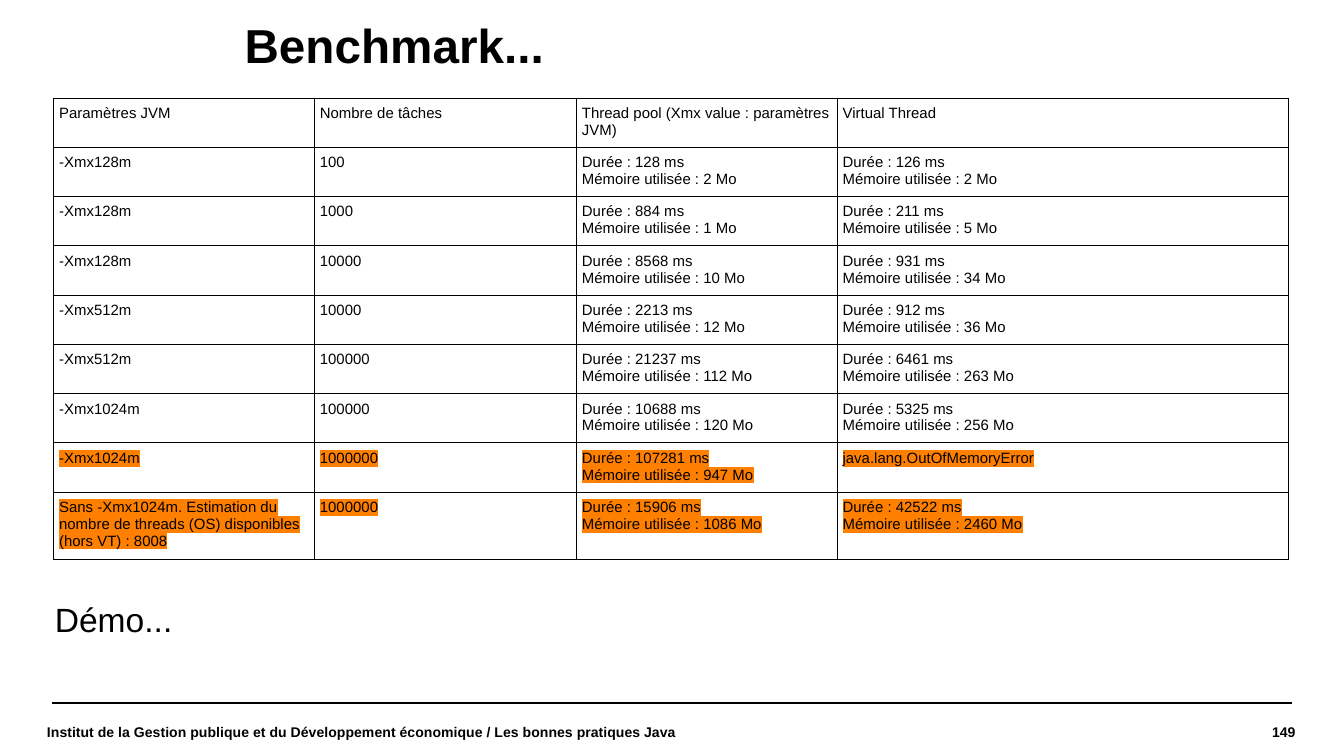
import pptx
import pptx.dml.color
import pptx.enum.shapes
import pptx.enum.text
import pptx.oxml
import pptx.oxml.ns
import pptx.util
from dataclasses import dataclass

Inches = pptx.util.Inches
Pt = pptx.util.Pt
Align = pptx.enum.text.PP_ALIGN
Anchor = pptx.enum.text.MSO_ANCHOR


@dataclass(frozen=True)
class Theme:
    font: str = "Arial"
    ink: str = "000000"
    paper: str = "FFFFFF"
    mark: str = "FF8000"
    title: float = 25.5
    body: float = 18
    cell: float = 8
    foot: float = 7.5
    rule: float = 0.8
    grid: float = 0.57


THEME = Theme()
HEADS = ["Paramètres JVM", "Nombre de tâches",
         "Thread pool (Xmx value : paramètres JVM)", "Virtual Thread"]
# JVM setting, task count, then (ms, Mo) for the pool and for virtual threads
RUNS = [
    ("-Xmx128m", 100, (128, 2), (126, 2)),
    ("-Xmx128m", 1000, (884, 1), (211, 5)),
    ("-Xmx128m", 10000, (8568, 10), (931, 34)),
    ("-Xmx512m", 10000, (2213, 12), (912, 36)),
    ("-Xmx512m", 100000, (21237, 112), (6461, 263)),
    ("-Xmx1024m", 100000, (10688, 120), (5325, 256)),
    ("-Xmx1024m", 1000000, (107281, 947), "java.lang.OutOfMemoryError"),
    ("Sans -Xmx1024m. Estimation du nombre de threads (OS) disponibles (hors VT) : 8008",
     1000000, (15906, 1086), (42522, 2460)),
]
MARKED = 1000000  # task count of the highlighted rows
WIDTHS = [1.94, 1.95, 1.94, 3.36]
HEIGHTS = [0.2] + [0.36] * len(RUNS)  # rows grow to fit their text


def color(code):
    return pptx.dml.color.RGBColor.from_string(code)


def element(tag, inner):
    space = pptx.oxml.ns.nsdecls("a")
    return pptx.oxml.parse_xml(f"<a:{tag} {space}>{inner}</a:{tag}>")


def add_run(para, text, size, bold=False, mark=None):
    run = para.add_run()
    run.text = text
    font = run.font
    font.name, font.size, font.bold = THEME.font, Pt(size), bold
    font.color.rgb = color(THEME.ink)
    if mark:
        fill = run._r.get_or_add_rPr().find(pptx.oxml.ns.qn("a:solidFill"))
        fill.addnext(element("highlight", f'<a:srgbClr val="{mark}"/>'))


def add_label(slide, box, text, size, bold=False, align=Align.LEFT,
              anchor=Anchor.TOP, inset=(0, 0), space=None):
    frame = slide.shapes.add_textbox(*map(Inches, box)).text_frame
    frame.word_wrap = True
    frame.vertical_anchor = anchor
    frame.margin_left = frame.margin_right = Inches(inset[0])
    frame.margin_top = frame.margin_bottom = Inches(inset[1])
    para = frame.paragraphs[0]
    para.alignment = align
    para.line_spacing = space
    add_run(para, text, size, bold)


def add_rule(slide, left, right, top):
    rule = slide.shapes.add_connector(
        pptx.enum.shapes.MSO_CONNECTOR.STRAIGHT,
        Inches(left), Inches(top), Inches(right), Inches(top))
    rule.line.color.rgb = color(THEME.ink)
    rule.line.width = Pt(THEME.rule)
    rule._element.spPr.append(element("effectLst", ""))


def add_edges(cell):
    props = cell._tc.get_or_add_tcPr()
    paint = f'<a:solidFill><a:srgbClr val="{THEME.ink}"/></a:solidFill>'
    for place, tag in enumerate(("lnL", "lnR", "lnT", "lnB")):
        edge = element(tag, paint)
        edge.set("w", str(int(Pt(THEME.grid))))
        props.insert(place, edge)


def fill_cell(cell, value, mark):
    cell.fill.solid()
    cell.fill.fore_color.rgb = color(THEME.paper)
    cell.margin_left = cell.margin_right = Inches(0.04)
    cell.margin_top = cell.margin_bottom = Inches(0.05)
    add_edges(cell)
    if isinstance(value, tuple):
        time, size = value
        lines = [f"Durée : {time} ms", f"Mémoire utilisée : {size} Mo"]
    else:
        lines = [str(value)]
    frame = cell.text_frame
    for i, line in enumerate(lines):
        para = frame.add_paragraph() if i else frame.paragraphs[0]
        add_run(para, line, THEME.cell, mark=mark)


def add_grid(slide, left, top, height):
    rows = [HEADS] + RUNS
    holder = slide.shapes.add_table(
        len(rows), len(HEADS), Inches(left), Inches(top),
        Inches(sum(WIDTHS)), Inches(height))
    table = holder.table
    table.first_row = table.horz_banding = False
    for col, width in zip(table.columns, WIDTHS):
        col.width = Inches(width)
    for r, (values, tall) in enumerate(zip(rows, HEIGHTS)):
        table.rows[r].height = Inches(tall)
        mark = THEME.mark if values[1] == MARKED else None
        for c, value in enumerate(values):
            fill_cell(table.cell(r, c), value, mark)
    holder.height = Inches(height)


def main():
    deck = pptx.Presentation()
    deck.slide_width = Inches(10)
    deck.slide_height = Inches(10 * 9 / 16)
    slide = deck.slides.add_slide(deck.slide_layouts[6])

    # Footer
    add_rule(slide, 0.39, 9.61, 5.23)
    add_label(slide, (8.17, 5.25, 1.47, 0.39), "149", THEME.foot, True,
              Align.RIGHT, Anchor.MIDDLE)
    add_label(slide, (0.35, 5.25, 4.84, 0.39),
              "Institut de la Gestion publique et du Développement économique"
              " / Les bonnes pratiques Java",
              THEME.foot, True, anchor=Anchor.MIDDLE)

    # Title, results and closing line
    add_label(slide, (1.82, 0.17, 7.9, 0.4), "Benchmark...", THEME.title,
              True, space=0.9)
    add_grid(slide, 0.4, 0.73, 3.43)
    add_label(slide, (0.31, 4.41, 2.36, 0.38), "Démo...", THEME.body,
              inset=(0.1, 0.05))

    deck.save("out.pptx")


if __name__ == "__main__":
    main()
